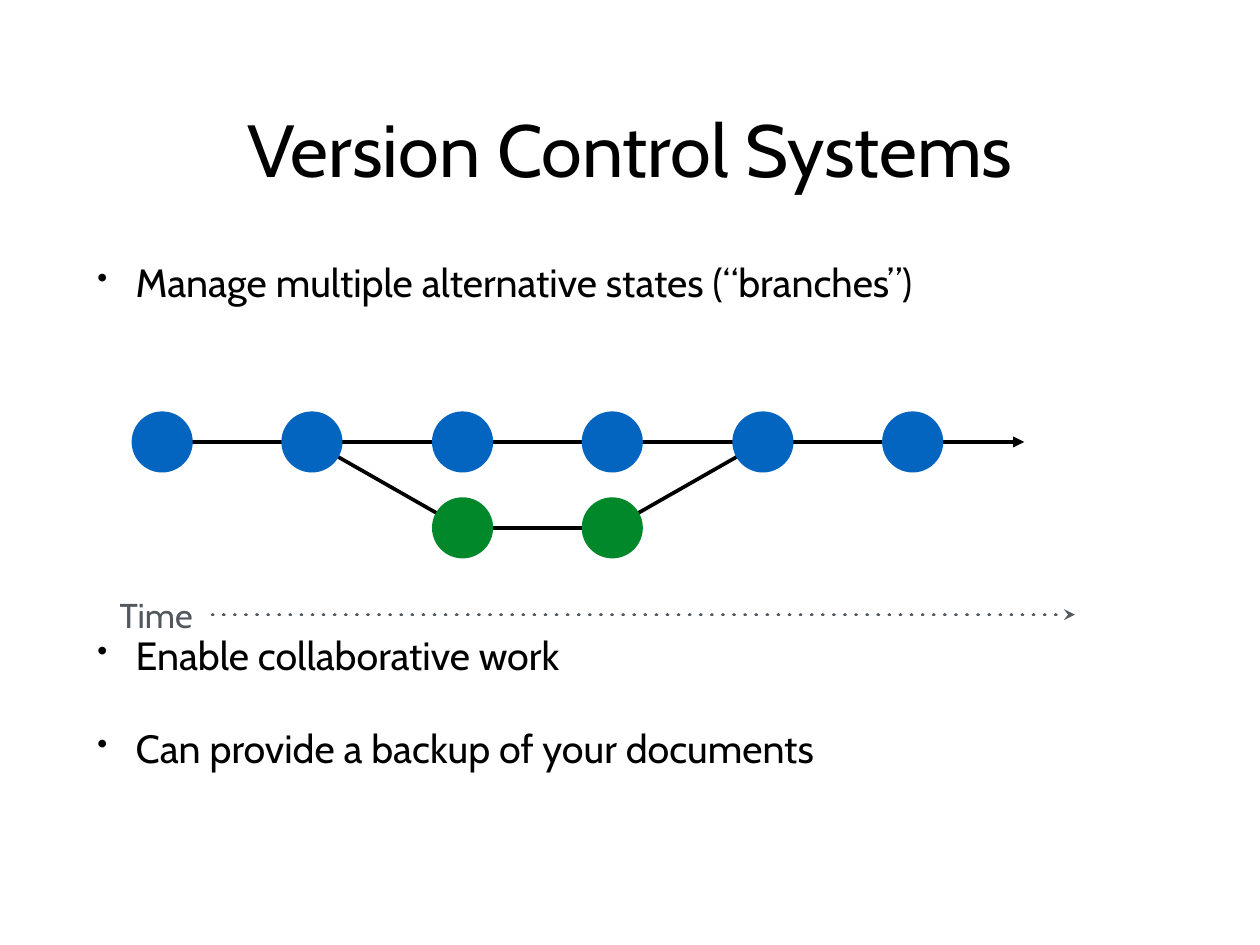
from lxml import etree
from pptx import Presentation
from pptx.dml.color import RGBColor
from pptx.enum.shapes import MSO_CONNECTOR as Connector, MSO_SHAPE as Shape
from pptx.enum.text import MSO_ANCHOR as Anchor, PP_ALIGN as Align
from pptx.oxml.ns import qn
from pptx.util import Pt

PX = 9144  # 100 px to the inch
FONT = "Cabin"
BLACK = RGBColor(0x00, 0x00, 0x00)
GRAY = RGBColor(0x53, 0x58, 0x5F)
BLUE = RGBColor(0x03, 0x65, 0xC0)
GREEN = RGBColor(0x00, 0x88, 0x2B)

INSET = 6
INDENT = 43
DIAMETER = 69
BULLETS = [  # text, space before in points
    ("Manage multiple alternative states (“branches”)", 0),
    ("Enable collaborative work", 265),
    ("Can provide a backup of your documents", 37),
]


def add_text(page, box, anchor, wrap=True):
    """Add an empty text box and return its frame."""
    frame = page.shapes.add_textbox(*(side * PX for side in box)).text_frame
    frame.word_wrap = wrap
    frame.vertical_anchor = anchor
    frame.margin_left = frame.margin_right = INSET * PX
    frame.margin_top = frame.margin_bottom = INSET * PX
    return frame


def write(para, text, size, color):
    para.text = text
    para.font.name = FONT
    para.font.size = Pt(size)
    para.font.color.rgb = color


def add_line(page, start, end, color=BLACK, head=None, dotted=False):
    ends = (place * PX for place in (*start, *end))
    line = page.shapes.add_connector(Connector.STRAIGHT, *ends)
    line.line.color.rgb = color
    line.line.width = Pt(3)
    outline = line.line._get_or_add_ln()
    if dotted:
        outline.set("cap", "rnd")
        dash = etree.SubElement(outline, qn("a:custDash"))
        etree.SubElement(dash, qn("a:ds"), d="100000", sp="200000")
    if head:
        etree.SubElement(outline, qn("a:tailEnd"), type=head)
    etree.SubElement(line._element.spPr, qn("a:effectLst"))


def add_commit(page, center, color):
    left, top = (place * PX - DIAMETER * PX // 2 for place in center)
    commit = page.shapes.add_shape(Shape.OVAL, left, top, DIAMETER * PX, DIAMETER * PX)
    commit.shadow.inherit = False
    commit.fill.solid()
    commit.fill.fore_color.rgb = color
    commit.line.fill.background()


def add_title(page, box):
    para = add_text(page, box, Anchor.MIDDLE).paragraphs[0]
    para.alignment = Align.CENTER
    write(para, "Version Control Systems", 60, BLACK)


def add_bullets(page, box):
    frame = add_text(page, box, Anchor.TOP)
    for index, (text, space) in enumerate(BULLETS):
        para = frame.add_paragraph() if index else frame.paragraphs[0]
        if space:
            para.space_before = Pt(space)
        props = para._p.get_or_add_pPr()
        props.set("marL", str(INDENT * PX))
        props.set("indent", str(-INDENT * PX))
        etree.SubElement(props, qn("a:buSzPct"), val="75000")
        etree.SubElement(props, qn("a:buChar"), char="•")
        write(para, text, 32, BLACK)


def add_history(page, box):
    """Draw the main line of six commits and a branch of two below it."""
    left, top, width, height = box
    radius = DIAMETER // 2
    columns = [left + radius + round(169.4 * step) for step in range(6)]
    main_y, branch_y = top + radius + 1, top + height - radius
    main = [(x, main_y) for x in columns]
    branch = [(x, branch_y) for x in columns[2:4]]

    add_line(page, main[0], (left + width, main_y), head="triangle")
    route = [main[1], *branch, main[4]]
    for start, end in zip(route, route[1:]):
        add_line(page, start, end)
    for commits, color in ((main, BLUE), (branch, GREEN)):
        for center in commits:
            add_commit(page, center, color)


def add_time_axis(page, box):
    left, top, width, height = box
    label = add_text(page, (left, top, 98, height), Anchor.MIDDLE, wrap=False)
    write(label.paragraphs[0], "Time", 28, GRAY)
    middle = top + height // 2
    add_line(page, (left + 111, middle), (left + width, middle), GRAY, "stealth", True)


def main():
    deck = Presentation()
    deck.slide_width, deck.slide_height = 1422 * PX, 1067 * PX
    page = deck.slides.add_slide(deck.slide_layouts[6])
    add_title(page, (104, 49, 1214, 236))
    add_bullets(page, (104, 285, 1214, 688))
    add_history(page, (149, 464, 1007, 166))
    add_time_axis(page, (129, 659, 1084, 71))
    deck.save("out.pptx")


if __name__ == "__main__":
    main()
